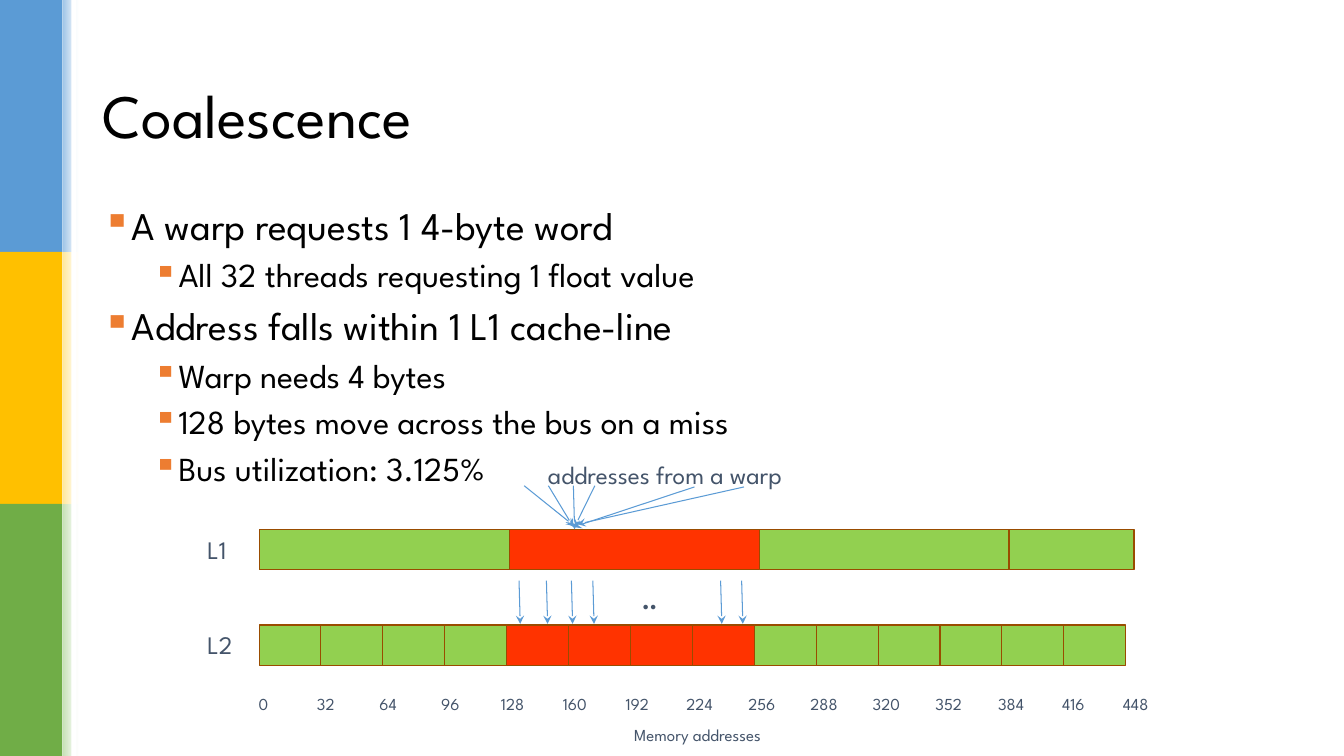
"""Build the slide on coalesced memory access by a warp."""
from dataclasses import dataclass

from lxml import etree
from pptx import Presentation
from pptx import util as u
from pptx.dml.color import RGBColor
from pptx.enum import shapes, text
from pptx.oxml.ns import qn


@dataclass(frozen=True)
class Theme:
    font: str = "League Spartan"
    ink: str = "000000"
    label: str = "44546A"
    bullet: str = "ED7D31"
    arrow: str = "5B9BD5"
    border: str = "994C00"
    idle: str = "92D050"
    fetched: str = "FF3300"
    white: str = "FFFFFF"
    title_size: int = 44
    level_sizes: tuple = (28, 24)
    label_size: int = 18
    axis_size: int = 12
    line_width: float = 0.75


THEME = Theme()
SIDEBAR = [("5B9BD5", "9DC3E6"), ("FFC000", "FFE699"), ("70AD47", "C5E0B4")]
TITLE = "Coalescence"
BULLETS = [
    (0, "A warp requests 1 4-byte word"),
    (1, "All 32 threads requesting 1 float value"),
    (0, "Address falls within 1 L1 cache-line"),
    (1, "Warp needs 4 bytes"),
    (1, "128 bytes move across the bus on a miss"),
    (1, "Bus utilization: 3.125%"),
]
ADDRESSES = range(0, 449, 32)
BAR_LEFT, BAR_HEIGHT = 6.53, 1.02
L1_TOP, L1_WIDTH = 13.34, 6.3
L1_LINES = [(2.5, THEME.idle), (1, THEME.fetched), (0, THEME.idle), (2, THEME.idle)]
L2_TOP, L2_WIDTH, L2_COUNT = 15.75, 1.56, 14
L2_FETCHED = range(4, 8)
AXIS_START, AXIS_STEP, AXIS_TOP = 6.64, 1.57, 17.35
TRANSFER_LEFTS = [13.08, 13.77, 14.4, 14.94, 18.16, 18.69]
TRANSFER_TOP, TRANSFER_BOTTOM, TRANSFER_DRIFT = 14.63, 15.72, 0.03
REQUESTS = [
    (13.82, 12.24, 14.45, 13.28),
    (14.45, 12.24, 14.48, 13.34),
    (17.5, 12.27, 14.45, 13.28),
    (13.21, 12.24, 14.48, 13.26),
    (14.99, 12.24, 14.48, 13.28),
    (18.75, 12.27, 14.55, 13.21),
]


def rgb(value):
    return RGBColor.from_string(value)


def add_rectangle(slide, left, top, width, height, color, border=None, fade=False):
    shape = slide.shapes.add_shape(
        shapes.MSO_SHAPE.RECTANGLE, u.Cm(left), u.Cm(top), u.Cm(width), u.Cm(height))
    shape.shadow.inherit = False
    if fade:
        shape.fill.gradient()
        shape.fill.gradient_angle = 0
        for stop, stop_color in zip(shape.fill.gradient_stops, (color, THEME.white)):
            stop.color.rgb = rgb(stop_color)
    else:
        shape.fill.solid()
        shape.fill.fore_color.rgb = rgb(color)
    if border:
        shape.line.color.rgb = rgb(border)
        shape.line.width = u.Pt(THEME.line_width)
    else:
        shape.line.fill.background()


def add_box(slide, left, top, width, height):
    box = slide.shapes.add_textbox(u.Cm(left), u.Cm(top), u.Cm(width), u.Cm(height))
    box.text_frame.word_wrap = True
    return box.text_frame


def set_font(paragraph, size, color, bold=False):
    paragraph.font.name = THEME.font
    paragraph.font.size = u.Pt(size)
    paragraph.font.color.rgb = rgb(color)
    paragraph.font.bold = bold


def add_label(slide, wording, place, size=THEME.label_size, centred=False, bold=False):
    frame = add_box(slide, *place)
    paragraph = frame.paragraphs[0]
    paragraph.text = wording
    if centred:
        paragraph.alignment = text.PP_ALIGN.CENTER
    set_font(paragraph, size, THEME.label, bold)
    return frame


def add_arrow(slide, start_x, start_y, end_x, end_y):
    arrow = slide.shapes.add_connector(
        shapes.MSO_CONNECTOR.STRAIGHT, u.Cm(start_x), u.Cm(start_y), u.Cm(end_x), u.Cm(end_y))
    arrow.line.color.rgb = rgb(THEME.arrow)
    arrow.line.width = u.Pt(THEME.line_width)
    etree.SubElement(arrow.line._get_or_add_ln(), qn("a:tailEnd"), type="stealth")
    etree.SubElement(arrow._element.spPr, qn("a:effectLst"))


def add_bullet(paragraph, level):
    properties = paragraph._p.get_or_add_pPr()
    properties.set("marL", str(u.Cm((0.64, 1.91)[level])))
    properties.set("indent", str(-u.Cm(0.64)))
    color = etree.SubElement(properties, qn("a:buClr"))
    etree.SubElement(color, qn("a:srgbClr"), val=THEME.bullet)
    etree.SubElement(properties, qn("a:buChar"), char="▪")


def draw_sidebar(slide):
    band_height = 6.35
    for index, (color, tint) in enumerate(SIDEBAR):
        add_rectangle(slide, 0, index * band_height, 1.57, band_height, color)
        add_rectangle(slide, 1.57, index * band_height, 0.41, band_height, tint, fade=True)
    add_rectangle(slide, 1.8, 0, 0.13, 19.05, THEME.white)


def draw_text(slide):
    body = add_box(slide, 2.34, 5.08, 29.21, 12.09)
    for index, (level, wording) in enumerate(BULLETS):
        paragraph = body.add_paragraph() if index else body.paragraphs[0]
        paragraph.text = wording
        paragraph.level = level
        paragraph.line_spacing = 0.9
        size = THEME.level_sizes[level]
        if index:
            paragraph.space_before = u.Pt(round(0.3 * size, 1))
        add_bullet(paragraph, level)
        set_font(paragraph, size, THEME.ink)
    title = add_box(slide, 2.34, 1.02, 29.21, 3.68)
    title.vertical_anchor = text.MSO_ANCHOR.MIDDLE
    title.paragraphs[0].text = TITLE
    set_font(title.paragraphs[0], THEME.title_size, THEME.ink)


def draw_memory(slide):
    add_label(slide, "addresses from a warp", (13, 11.46, 7.52, 1.02), centred=True)
    for index, address in enumerate(ADDRESSES):
        width = 0.45 + 0.29 * len(str(address))
        left = AXIS_START + index * AXIS_STEP - width / 2
        frame = add_label(slide, str(address), (left, AXIS_TOP, width, 0.76),
                          THEME.axis_size, centred=True)
        frame.word_wrap = False
    add_label(slide, "Memory addresses", (15.09, 18.14, 4.98, 0.76),
              THEME.axis_size, centred=True)
    for position, color in L1_LINES:
        add_rectangle(slide, BAR_LEFT + position * L1_WIDTH, L1_TOP, L1_WIDTH, BAR_HEIGHT,
                      color, THEME.border)
    for left in TRANSFER_LEFTS:
        add_arrow(slide, left, TRANSFER_TOP, left + TRANSFER_DRIFT, TRANSFER_BOTTOM)
    add_label(slide, "...", (15.93, 14.6, 0.91, 1.8), bold=True)
    for index in range(L2_COUNT):
        color = THEME.fetched if index in L2_FETCHED else THEME.idle
        add_rectangle(slide, BAR_LEFT + index * L2_WIDTH, L2_TOP, L2_WIDTH, BAR_HEIGHT,
                      color, THEME.border)
    for name, top in (("L1", L1_TOP), ("L2", L2_TOP)):
        frame = add_label(slide, name, (4.98, top - 0.13, 1.3, 1.27))
        frame.margin_top = frame.margin_bottom = u.Cm(0.25)
        frame.word_wrap = False
    for request in REQUESTS:
        add_arrow(slide, *request)


def main():
    presentation = Presentation()
    presentation.slide_width, presentation.slide_height = u.Cm(33.87), u.Cm(19.05)
    slide = presentation.slides.add_slide(presentation.slide_layouts[6])
    draw_sidebar(slide)
    draw_text(slide)
    draw_memory(slide)
    presentation.save("out.pptx")


if __name__ == "__main__":
    main()
